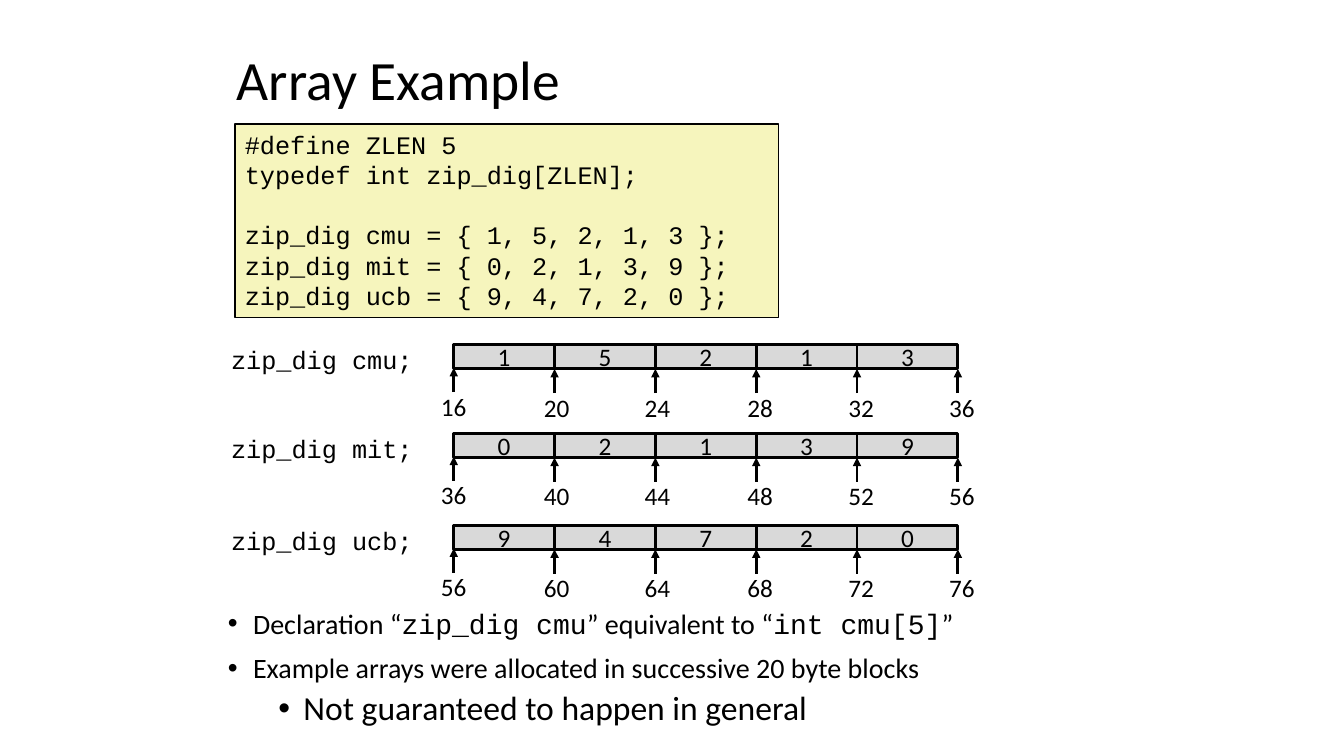
import pptx
import pptx.util
import pptx.dml.color
import pptx.enum.shapes
import pptx.enum.text
import pptx.oxml
import pptx.oxml.ns
from pptx.util import Inches

HUES = {"ink": "000000", "code": "F6F5BD", "cell": "D9D9D9"}
SANS, MONO = "Calibri", "Courier New"
ALIGN = pptx.enum.text.PP_ALIGN
FIT = pptx.enum.text.MSO_AUTO_SIZE
ANCHOR = pptx.enum.text.MSO_ANCHOR
LEFT, WIDE, TALL = 4.5, 1, 0.24
CODE = ["#define ZLEN 5", "typedef int zip_dig[ZLEN];",
        "zip_dig cmu = { 1, 5, 2, 1, 3 };",
        "zip_dig mit = { 0, 2, 1, 3, 9 };",
        "zip_dig ucb = { 9, 4, 7, 2, 0 };"]
ROWS = [("cmu", 3.42, 16, "15213"), ("mit", 4.3, 36, "02139"),
        ("ucb", 5.21, 56, "94720")]
NOTES = [
    (0, 20, [("Declaration “", SANS), ("zip_dig cmu", MONO),
             ("” equivalent to “", SANS), ("int cmu[5]", MONO), ("”", SANS)]),
    (0, 20, [("Example arrays were allocated in successive 20 byte blocks", SANS)]),
    (1, 24, [("Not guaranteed to happen in general", SANS)]),
]


def hue(name):
    """Return a named colour."""
    return pptx.dml.color.RGBColor.from_string(HUES[name])


def style(run, size, face):
    """Format one run."""
    run.font.size = pptx.util.Pt(size)
    run.font.name = face
    run.font.color.rgb = hue("ink")


def write(frame, text, face, align, size=18):
    """Fill a frame and format all its runs."""
    frame.text = text
    for para in frame.paragraphs:
        para.alignment = align
        for run in para.runs:
            style(run, size, face)


def place(shape, left, top, width, height):
    """Move and size a placeholder."""
    shape.left, shape.top = Inches(left), Inches(top)
    shape.width, shape.height = Inches(width), Inches(height)


def add_label(shapes, text, face, align, left, top, width):
    """Add a one-line text box."""
    box = shapes.add_textbox(Inches(left), Inches(top), Inches(width), Inches(0.4))
    box.text_frame.word_wrap = True
    box.text_frame.auto_size = FIT.SHAPE_TO_FIT_TEXT
    write(box.text_frame, text, face, align)


def add_box(shapes, left, top, width, height, fill, line):
    """Add an outlined rectangle and return its text frame."""
    box = shapes.add_shape(pptx.enum.shapes.MSO_SHAPE.RECTANGLE, Inches(left),
                           Inches(top), Inches(width), Inches(height))
    box.shadow.inherit = False
    box.fill.solid()
    box.fill.fore_color.rgb = hue(fill)
    box.line.color.rgb = hue("ink")
    box.line.width = pptx.util.Pt(line)
    return box.text_frame


def add_arrow(shapes, x, low, high):
    """Add an arrow that points up."""
    line = shapes.add_connector(pptx.enum.shapes.MSO_CONNECTOR.STRAIGHT,
                                Inches(x), Inches(low), Inches(x), Inches(high))
    line.line.color.rgb = hue("ink")
    line.line.width = pptx.util.Pt(2)
    tip = pptx.oxml.ns.qn("a:tailEnd")
    line.line._get_or_add_ln().makeelement(tip)
    pptx.oxml.ns.qn("a:ln")
    edge = line.line._get_or_add_ln()
    edge.append(edge.makeelement(tip, {"type": "triangle"}))
    prop = line._element.spPr
    prop.append(prop.makeelement(pptx.oxml.ns.qn("a:effectLst")))


def add_row(slide, name, top, start, digits):
    """Add an array: its name, cells and byte addresses."""
    add_label(slide.shapes, f"zip_dig {name};", MONO, ALIGN.RIGHT,
              1.75, top - 0.05, 2.44)
    shapes = slide.shapes.add_group_shape().shapes
    for i, digit in enumerate(digits):
        cell = add_box(shapes, LEFT + i * WIDE, top, WIDE, TALL, "cell", 2)
        cell.word_wrap = False
        cell.vertical_anchor = ANCHOR.MIDDLE
        write(cell, digit, SANS, ALIGN.CENTER)
    for i in range(len(digits) + 1):
        x = LEFT + i * WIDE
        drop = 0.01 if i else 0
        shift = 0 if i == 0 else 0.02 if i < 3 else 0.04
        width = 1.08 if i else 0.73
        add_label(shapes, str(start + 4 * i), SANS, ALIGN.CENTER,
                  x + shift - width / 2, top + 0.41 + drop, width)
        add_arrow(shapes, x, top + 0.47 + drop, top + 0.23 + drop)


def add_code(slide):
    """Add the code panel, with a gap before the variables."""
    frame = add_box(slide.shapes, 2.33, 1.23, 5.39, 1.92, "code", 1)
    frame.word_wrap = True
    frame.vertical_anchor = ANCHOR.TOP
    write(frame, "\n".join(CODE), MONO, ALIGN.LEFT)
    frame.paragraphs[2].space_before = pptx.util.Pt(21.6)


def add_bullet(para, level, size, parts):
    """Fill a bulleted paragraph with runs in mixed fonts."""
    para.level = level
    para.line_spacing = 0.9
    para.space_before = pptx.util.Pt(5 if level else 10)
    for text, face in parts:
        run = para.add_run()
        run.text = text
        style(run, size, face)
    prop = para._p.get_or_add_pPr()
    prop.set("marL", str(Inches(0.25 + 0.5 * level)))
    prop.set("indent", str(Inches(-0.25)))
    for tag, key, mark in (("a:buFont", "typeface", "Arial"),
                           ("a:buChar", "char", "•")):
        prop.append(prop.makeelement(pptx.oxml.ns.qn(tag), {key: mark}))


def add_notes(body):
    """Fill the list below the arrays."""
    place(body, 2.16, 6, 9.17, 1.51)
    frame = body.text_frame
    frame.auto_size = FIT.NONE
    for i, note in enumerate(NOTES):
        add_bullet(frame.add_paragraph() if i else frame.paragraphs[0], *note)


def main():
    """Build the slide."""
    deck = pptx.Presentation()
    deck.slide_width, deck.slide_height = Inches(13.33), Inches(7.5)
    slide = deck.slides.add_slide(deck.slide_layouts[1])
    title, body = slide.placeholders
    place(title, 2.25, 0.5, 5.99, 0.63)
    title.text_frame.auto_size = FIT.NONE
    title.text_frame.vertical_anchor = ANCHOR.MIDDLE
    write(title.text_frame, "Array Example", SANS, ALIGN.LEFT, 39.6)
    title.text_frame.paragraphs[0].line_spacing = 0.9
    add_notes(body)
    add_code(slide)
    for row in ROWS:
        add_row(slide, *row)
    deck.save("out.pptx")


main()
